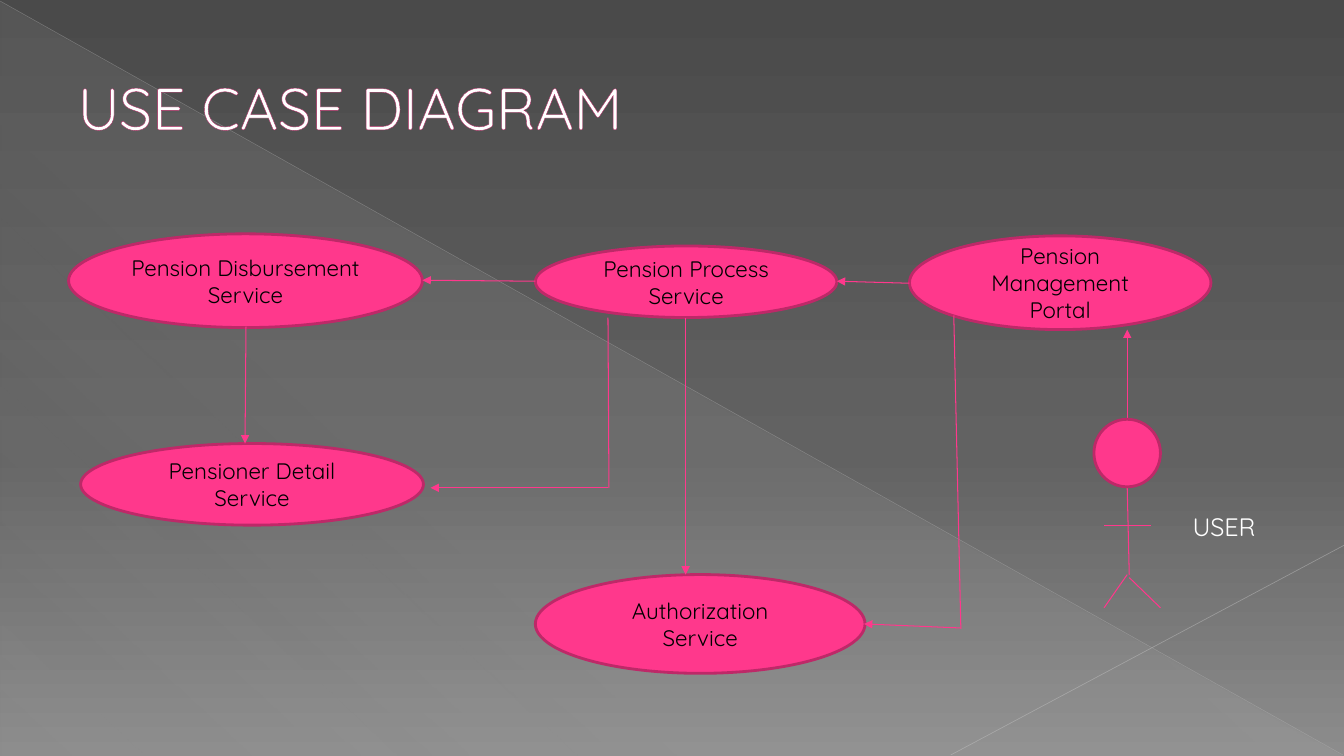
from lxml.etree import SubElement
from pptx import Presentation
from pptx.dml.color import RGBColor
from pptx.enum.shapes import MSO_CONNECTOR, MSO_SHAPE
from pptx.enum.text import MSO_ANCHOR, MSO_AUTO_SIZE, PP_ALIGN
from pptx.oxml.ns import qn
from pptx.util import Inches, Pt

PINK, DARK_PINK = "FF388C", "BD2968"
WHITE, BLACK = "FFFFFF", "000000"


def rgb(hex_code):
    return RGBColor.from_string(hex_code)


def write(frame, text, size=16, color=BLACK, align=PP_ALIGN.LEFT,
          anchor=MSO_ANCHOR.MIDDLE, outline=None):
    """Fill a text frame with one formatted line; outline is a letter edge colour."""
    frame.word_wrap = True
    frame.vertical_anchor = anchor
    paragraph = frame.paragraphs[0]
    paragraph.alignment = align
    run = paragraph.add_run()
    run.text = text
    run.font.name = "Quicksand"
    run.font.size = Pt(size)
    run.font.color.rgb = rgb(color)
    if outline:
        properties = run.font._element
        edge = SubElement(properties, qn("a:ln"), w=str(Pt(0.5)))
        SubElement(SubElement(edge, qn("a:solidFill")), qn("a:srgbClr"), val=outline)
        properties.insert(0, edge)


def set_opacity(color_element, percent):
    SubElement(color_element, qn("a:alpha"), val=str(percent * 1000))


def set_gradient(fill, owner, stops, angle):
    """Apply (position, colour, opacity) stops; angle runs clockwise in degrees."""
    fill.gradient()
    gradient = owner.xpath(".//a:gradFill")[0]
    stop_list = gradient.find(qn("a:gsLst"))
    for old_stop in list(stop_list):
        stop_list.remove(old_stop)
    for position, color, opacity in stops:
        stop = SubElement(stop_list, qn("a:gs"), pos=str(position * 1000))
        set_opacity(SubElement(stop, qn("a:srgbClr"), val=color), opacity)
    gradient.find(qn("a:lin")).set("ang", str(angle * 60000))


class DiagramSlide:
    def __init__(self, slide):
        self.slide = slide
        self.shapes = slide.shapes

    def background(self):
        set_gradient(self.slide.background.fill, self.slide._element,
                     [(0, "4A4A4A", 100), (60, "626262", 100), (100, "8C8C8C", 100)], 90)
        wedge = self.shape(MSO_SHAPE.RIGHT_TRIANGLE, 0.01, 0.02, 13.31, 7.48)
        wedge.line.fill.background()
        set_gradient(wedge.fill, wedge._element,
                     [(0, "D2D2D2", 10), (70, "D2D2D2", 8), (100, "D2D2D2", 1)], 133)
        self.line((0, 0.01), (13.32, 7.49), color="BFBFBF", width=0.39, opacity=35)
        self.line((13.33, 5.41), (9.43, 7.49), color="C6C6C6", width=0.47, opacity=45)

    def title(self, text):
        heading = self.shapes.title
        heading.left, heading.top = Inches(0.67), Inches(0.29)
        heading.width, heading.height = Inches(12), Inches(1.53)
        heading.text_frame.auto_size = MSO_AUTO_SIZE.NONE
        write(heading.text_frame, text, size=42, color=WHITE, outline="B12761")
        self.shapes._spTree.append(heading._element)  # in front of the background

    def shape(self, preset, left, top, width, height):
        shape = self.shapes.add_shape(
            preset, Inches(left), Inches(top), Inches(width), Inches(height))
        shape.shadow.inherit = False
        return shape

    def oval(self, left, top, width, height, text=None):
        oval = self.shape(MSO_SHAPE.OVAL, left, top, width, height)
        oval.fill.solid()
        oval.fill.fore_color.rgb = rgb(PINK)
        oval.line.color.rgb = rgb(DARK_PINK)
        oval.line.width = Pt(2)
        if text:
            write(oval.text_frame, text, align=PP_ALIGN.CENTER)

    def line(self, start, end, color=PINK, width=0.75, opacity=None, arrow=False):
        line = self.shapes.add_connector(
            MSO_CONNECTOR.STRAIGHT, *map(Inches, start + end))
        line.line.color.rgb = rgb(color)
        line.line.width = Pt(width)
        properties = line._element.spPr
        if opacity:
            set_opacity(properties.xpath(".//a:srgbClr")[0], opacity)
        if arrow:
            SubElement(properties.find(qn("a:ln")), qn("a:tailEnd"), type="triangle")
        SubElement(properties, qn("a:effectLst"))

    def label(self, text, left, top, width, height):
        box = self.shapes.add_textbox(
            Inches(left), Inches(top), Inches(width), Inches(height))
        write(box.text_frame, text, size=18, color=WHITE, anchor=MSO_ANCHOR.TOP)


def main():
    deck = Presentation()
    deck.slide_width, deck.slide_height = Inches(13.33), Inches(7.5)
    diagram = DiagramSlide(deck.slides.add_slide(deck.slide_layouts[5]))
    diagram.background()
    diagram.title("USE CASE DIAGRAM")

    use_cases = [
        ("Pension Process Service", 5.31, 2.44, 2.99, 0.71),
        ("Authorization Service", 5.31, 5.7, 3.27, 0.98),
        ("Pension Disbursement Service", 0.68, 2.32, 3.51, 0.93),
        ("Pensioner Detail Service", 0.8, 4.4, 3.4, 0.81),
        ("Pension Management Portal", 9.02, 2.34, 2.99, 0.93),
    ]
    for name, *place in use_cases:
        diagram.oval(*place, text=name)

    calls = [
        ((5.31, 2.79), (4.19, 2.78)),    # process to disbursement
        ((2.44, 3.24), (2.43, 4.4)),     # disbursement to pensioner detail
        ((6.03, 4.84), (4.27, 4.84)),    # process to pensioner detail
        ((6.8, 3.15), (6.8, 5.7)),       # process to authorization
        ((9.02, 2.81), (8.3, 2.79)),     # portal to process
        ((9.53, 6.23), (8.57, 6.19)),    # portal to authorization
        ((11.18, 4.16), (11.18, 3.27)),  # user to portal
    ]
    for start, end in calls:
        diagram.line(start, end, arrow=True)

    elbows = [((6.03, 3.15), (6.04, 4.84)), ((9.46, 3.13), (9.53, 6.24))]
    user_body = [
        ((11.18, 4.84), (11.2, 5.7)),    # spine
        ((10.95, 5.21), (11.42, 5.21)),  # arms
        ((11.18, 5.7), (10.95, 6.03)),   # left leg
        ((11.2, 5.73), (11.51, 6.03)),   # right leg
    ]
    for start, end in elbows + user_body:
        diagram.line(start, end)
    diagram.oval(10.85, 4.16, 0.66, 0.67)
    diagram.label("USER", 11.73, 5.02, 0.94, 0.4)

    deck.save("out.pptx")


if __name__ == "__main__":
    main()
